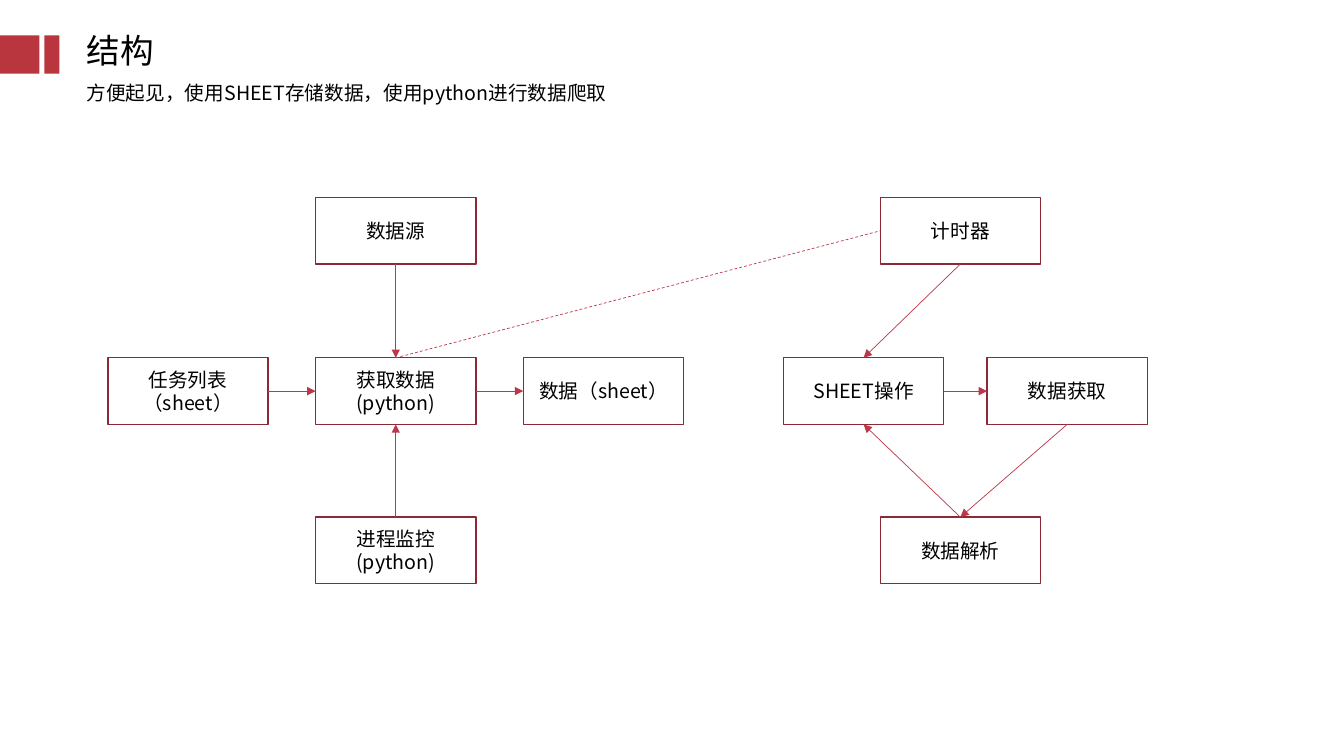
from lxml.etree import SubElement
from pptx import Presentation
from pptx.dml.color import RGBColor
from pptx.enum.dml import MSO_LINE
from pptx.enum.shapes import MSO_CONNECTOR, MSO_SHAPE
from pptx.enum.text import MSO_ANCHOR, MSO_AUTO_SIZE, PP_ALIGN
from pptx.oxml.ns import qn
from pptx.util import Pt

PX = 9144  # EMU per px, 100 px to the inch
FONT = "Noto Sans CJK SC"
BLACK = RGBColor(0x00, 0x00, 0x00)
ACCENT = RGBColor(0xB9, 0x36, 0x3F)
BORDER = RGBColor(0x8C, 0x29, 0x37)
ARROW = RGBColor(0xBD, 0x37, 0x4A)

STEP_W, STEP_H = 159, 66
ROWS = (0, 159, 317)
TOP, LEFT, BOTTOM, RIGHT = range(4)


def px(*lengths):
    return [length * PX for length in lengths]


def write(shape, text, size, align, anchor):
    frame = shape.text_frame
    frame.text = text
    frame.word_wrap = True
    frame.auto_size = MSO_AUTO_SIZE.NONE
    frame.vertical_anchor = anchor
    for paragraph in frame.paragraphs:
        paragraph.alignment = align
        paragraph.space_before = Pt(0)
        for run in paragraph.runs:
            run.font.size = Pt(size)
            run.font.name = FONT
            run.font.color.rgb = BLACK
            SubElement(run.font._element, qn("a:ea"), typeface=FONT)


def add_box(slide, left, top, width, height):
    box = slide.shapes.add_shape(MSO_SHAPE.RECTANGLE, *px(left, top, width, height))
    box.shadow.inherit = False
    return box


def add_step(slide, left, top, text):
    step = add_box(slide, left, top, STEP_W, STEP_H)
    step.fill.background()
    step.line.color.rgb = BORDER
    step.line.width = Pt(1)
    write(step, text, 14, PP_ALIGN.CENTER, MSO_ANCHOR.MIDDLE)
    return step


def link(slide, source, source_side, target, target_side, dashed=False):
    """Join two steps with an arrow, or with a plain dashed line."""
    connector = slide.shapes.add_connector(MSO_CONNECTOR.STRAIGHT, 0, 0, 0, 0)
    connector.begin_connect(source, source_side)
    connector.end_connect(target, target_side)
    connector.line.color.rgb = ARROW
    connector.line.width = Pt(0.5)
    if dashed:
        connector.line.dash_style = MSO_LINE.DASH
    else:
        SubElement(connector.line._get_or_add_ln(), qn("a:tailEnd"), type="triangle")
    SubElement(connector._element.spPr, qn("a:effectLst"))


def add_header(slide, left, top):
    for bar_left, bar_width in ((0, 39), (44, 15)):
        bar = add_box(slide, left + bar_left, top + 10, bar_width, 38)
        bar.fill.solid()
        bar.fill.fore_color.rgb = ACCENT
        bar.line.fill.background()

    heading, summary = slide.placeholders
    heading.left, heading.top, heading.width, heading.height = px(left + 76, top, 537, 50)
    write(heading, "结构", 24, PP_ALIGN.LEFT, MSO_ANCHOR.TOP)

    summary.left, summary.top, summary.width, summary.height = px(left + 76, top + 50, 537, 58)
    write(summary, "方便起见，使用SHEET存储数据，使用python进行数据爬取",
          14, PP_ALIGN.LEFT, MSO_ANCHOR.TOP)
    indents = summary.text_frame.paragraphs[0]._p.get_or_add_pPr()
    indents.set("marL", "0")
    indents.set("indent", "0")
    SubElement(indents, qn("a:buNone"))


def add_crawl_flow(slide, left, top):
    """Draw the data collection flow and return its central step."""
    column = 206
    source = add_step(slide, left + column, top + ROWS[0], "数据源")
    fetch = add_step(slide, left + column, top + ROWS[1], "获取数据(python)")
    monitor = add_step(slide, left + column, top + ROWS[2], "进程监控\n(python)")
    tasks = add_step(slide, left, top + ROWS[1], "任务列表\n（sheet）")
    data = add_step(slide, left + 2 * column, top + ROWS[1], "数据（sheet）")
    link(slide, source, BOTTOM, fetch, TOP)
    link(slide, monitor, TOP, fetch, BOTTOM)
    link(slide, fetch, RIGHT, data, LEFT)
    link(slide, tasks, RIGHT, fetch, LEFT)
    return fetch


def add_timer_loop(slide, left, top):
    """Draw the timed loop and return the timer step."""
    timer = add_step(slide, left + 96, top + ROWS[0], "计时器")
    sheet = add_step(slide, left, top + ROWS[1], "SHEET操作")
    acquire = add_step(slide, left + 202, top + ROWS[1], "数据获取")
    parsing = add_step(slide, left + 96, top + ROWS[2], "数据解析")
    link(slide, timer, BOTTOM, sheet, TOP)
    link(slide, sheet, RIGHT, acquire, LEFT)
    link(slide, acquire, BOTTOM, parsing, TOP)
    link(slide, parsing, TOP, sheet, BOTTOM)
    return timer


def main():
    deck = Presentation()
    deck.slide_width, deck.slide_height = px(1333, 750)
    slide = deck.slides.add_slide(deck.slide_layouts[1])
    add_header(slide, 0, 25)
    fetch = add_crawl_flow(slide, 107, 196)
    timer = add_timer_loop(slide, 777, 196)
    link(slide, fetch, TOP, timer, LEFT, dashed=True)
    deck.save("out.pptx")


if __name__ == "__main__":
    main()
